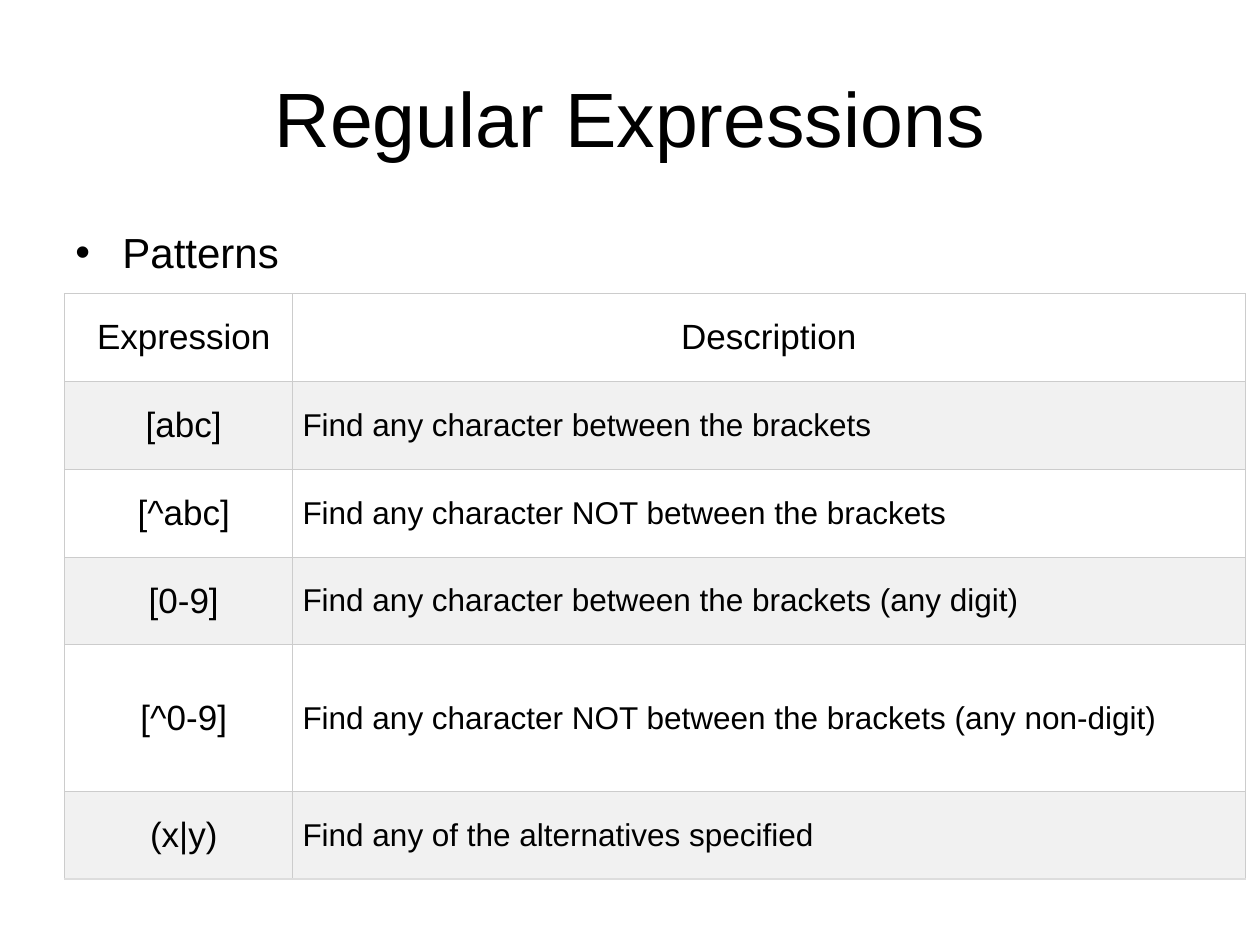
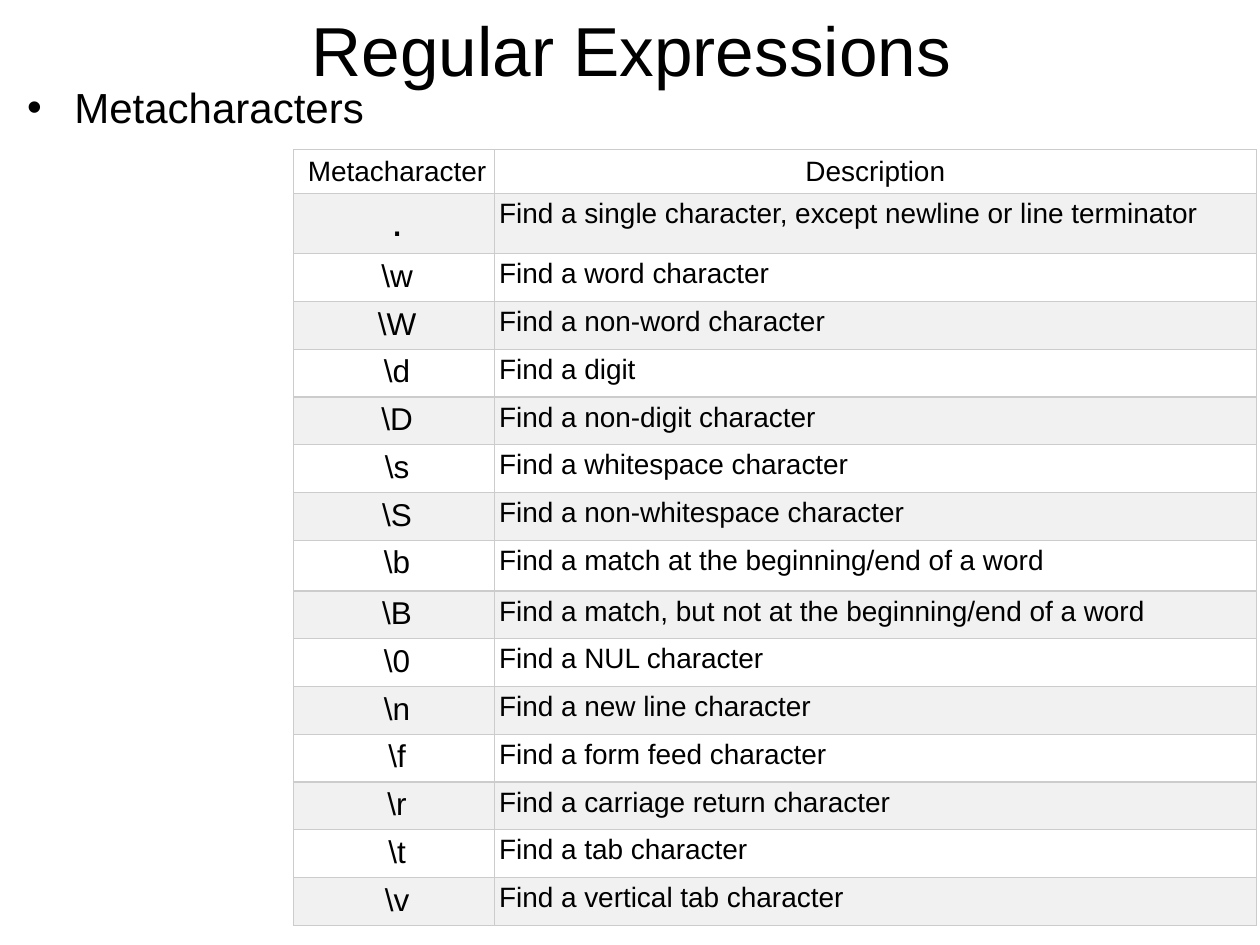
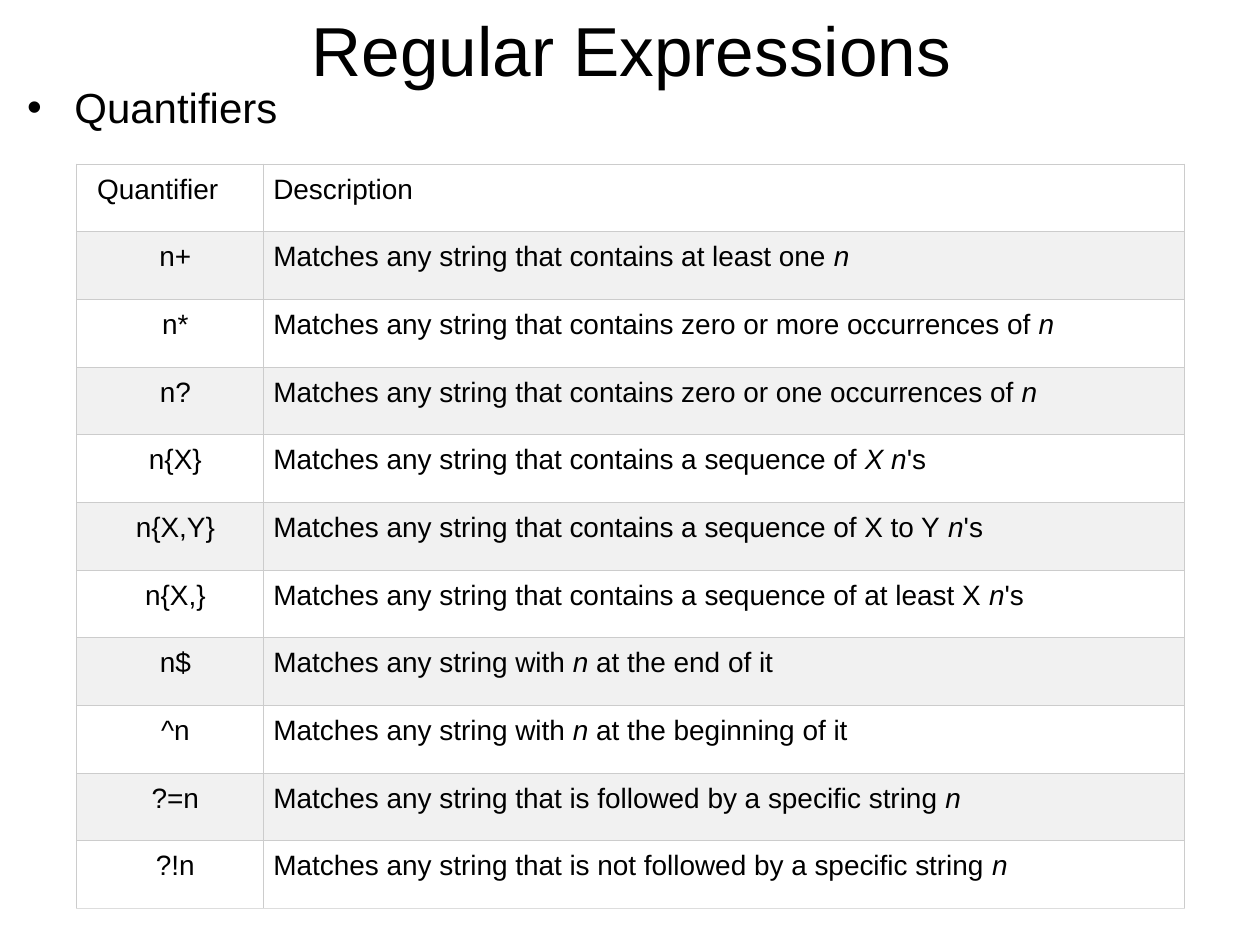
"""Build three slides on regular expressions, each with a reference table."""
from dataclasses import dataclass

from lxml import etree
from pptx import Presentation
from pptx import util as u
from pptx.dml.color import RGBColor
from pptx.enum import text
from pptx.oxml import parse_xml
from pptx.oxml.ns import nsdecls, qn


@dataclass(frozen=True)
class Theme:
    """Colours, font and type sizes shared by the deck."""
    ink: str = "000000"
    paper: str = "FFFFFF"
    band: str = "F1F1F1"
    rule: str = "CCCCCC"
    last_rule: str = "DDDDDD"
    rule_width: float = 0.75
    font: str = "Arial"
    title: float = 44
    small_title: float = 39.6
    topic: float = 24
    indent: float = 0.95


@dataclass(frozen=True)
class TableStyle:
    """Type sizes, insets in centimetres and alignment of one table."""
    head_size: float
    code_size: float
    note_size: float
    inset: float
    code_inset: float
    head_anchor: text.MSO_ANCHOR = text.MSO_ANCHOR.TOP
    body_anchor: text.MSO_ANCHOR = text.MSO_ANCHOR.TOP
    head_align: text.PP_ALIGN = text.PP_ALIGN.CENTER
    end_rule: str = Theme.last_rule


THEME = Theme()
LEFT, CENTER = text.PP_ALIGN.LEFT, text.PP_ALIGN.CENTER
MIDDLE = text.MSO_ANCHOR.MIDDLE

TITLE_BOX = (1.27, 0.76, 22.86, 3.18)
TOPIC_BOX = (1.27, 4.45, 22.86, 12.57)
TOP_TITLE_BOX = (1.3, 0, 22.86, 1.96)
TOP_TOPIC_BOX = (0.3, 1.52, 22.86, 12.57)

PATTERNS = [
    ("Expression", "Description"),
    ("[abc]", "Find any character between the brackets"),
    ("[^abc]", "Find any character NOT between the brackets"),
    ("[0-9]", "Find any character between the brackets (any digit)"),
    ("[^0-9]", "Find any character NOT between the brackets (any non-digit)"),
    ("(x|y)", "Find any of the alternatives specified"),
]

METACHARACTERS = [
    ("Metacharacter", "Description"),
    (".", "Find a single character, except newline or line terminator"),
    ("\\w", "Find a word character"),
    ("\\W", "Find a non-word character"),
    ("\\d", "Find a digit"),
    ("\\D", "Find a non-digit character"),
    ("\\s", "Find a whitespace character"),
    ("\\S", "Find a non-whitespace character"),
    ("\\b", "Find a match at the beginning/end of a word"),
    ("\\B", "Find a match, but not at the beginning/end of a word"),
    ("\\0", "Find a NUL character"),
    ("\\n", "Find a new line character"),
    ("\\f", "Find a form feed character"),
    ("\\r", "Find a carriage return character"),
    ("\\t", "Find a tab character"),
    ("\\v", "Find a vertical tab character"),
]

QUANTIFIERS = [
    ("Quantifier", "Description"),
    ("n+", "Matches any string that contains at least one\u00a0_n_"),
    ("n*", "Matches any string that contains zero or more occurrences of\u00a0_n_"),
    ("n?", "Matches any string that contains zero or one occurrences of\u00a0_n_"),
    ("n{X}", "Matches any string that contains a sequence of\u00a0_X\u00a0n_'s"),
    ("n{X,Y}", "Matches any string that contains a sequence of X to Y\u00a0_n_'s"),
    ("n{X,}", "Matches any string that contains a sequence of at least X\u00a0_n_'s"),
    ("n$", "Matches any string with\u00a0_n_\u00a0at the end of it"),
    ("^n", "Matches any string with\u00a0_n_\u00a0at the beginning of it"),
    ("?=n", "Matches any string that is followed by a specific string\u00a0_n_"),
    ("?!n", "Matches any string that is not followed by a specific string\u00a0_n_"),
]


def write(para, words, size, align):
    """Fill a paragraph run by run; words between underscores are italic."""
    para.alignment = align
    for index, part in enumerate(words.split("_")):
        if part:
            span = para.add_run()
            span.text = part
            span.font.name = THEME.font
            span.font.size = u.Pt(size)
            span.font.color.rgb = RGBColor.from_string(THEME.ink)
            if index % 2:
                span.font.italic = True


def add_text(page, box, words, size, align, anchor=text.MSO_ANCHOR.TOP):
    """Place one wrapped line of text in a box and return its paragraph."""
    frame = page.shapes.add_textbox(*map(u.Cm, box)).text_frame
    frame.word_wrap = True
    frame.vertical_anchor = anchor
    write(frame.paragraphs[0], words, size, align)
    return frame.paragraphs[0]


def add_title(page, box, size):
    """Place the shared title."""
    add_text(page, box, "Regular Expressions", size, CENTER, MIDDLE)


def add_topic(page, box, words, align=LEFT):
    """Place the bulleted topic of a slide."""
    para = add_text(page, box, words, THEME.topic, align)
    props = para._p.get_or_add_pPr()
    props.set("marL", str(u.Cm(THEME.indent)))
    props.set("indent", str(-u.Cm(THEME.indent)))
    space = etree.SubElement(props, qn("a:spcBef"))
    etree.SubElement(space, qn("a:spcPct"), val="20000")
    etree.SubElement(props, qn("a:buFont"), typeface=THEME.font)
    etree.SubElement(props, qn("a:buChar"), char="•")


def paint_cell(cell, fill, bottom):
    """Give a cell its four rules and its fill."""
    props = cell._tc.get_or_add_tcPr()
    for side in "LRTB":
        colour = bottom if side == "B" else THEME.rule
        props.append(parse_xml(
            f'<a:ln{side} {nsdecls("a")} w="{u.Pt(THEME.rule_width)}">'
            f'<a:solidFill><a:srgbClr val="{colour}"/></a:solidFill></a:ln{side}>'))
    cell.fill.solid()
    cell.fill.fore_color.rgb = RGBColor.from_string(fill)


def fill_cell(cell, words, row, column, style, size):
    """Set the insets, anchor and words of a cell."""
    cell.margin_left = u.Cm(style.inset if column else style.code_inset)
    cell.margin_right = cell.margin_top = cell.margin_bottom = u.Cm(style.inset)
    cell.vertical_anchor = style.body_anchor if row else style.head_anchor
    body_align = LEFT if column else CENTER
    write(cell.text_frame.paragraphs[0], words, size,
          body_align if row else style.head_align)


def add_reference(page, box, entries, first_width, heights, style, sizes=None):
    """Place a banded two-column table; sizes overrides the type size by code."""
    frame = page.shapes.add_table(len(entries), 2, *map(u.Cm, box))
    table = frame.table
    table.first_row = table.horz_banding = False
    for column, width in zip(table.columns, (first_width, box[2] - first_width)):
        column.width = u.Cm(width)
    last = len(entries) - 1
    for row, entry in enumerate(entries):
        table.rows[row].height = u.Cm(heights[row])
        for column, words in enumerate(entry):
            cell = table.cell(row, column)
            size = style.note_size if column else style.code_size
            size = (sizes or {}).get(words, size) if row else style.head_size
            paint_cell(cell, THEME.band if row % 2 else THEME.paper,
                       style.end_rule if row == last else THEME.rule)
            fill_cell(cell, words, row, column, style, size)
    frame.height = u.Cm(box[3])


def patterns_slide(page):
    """Compose the slide on patterns."""
    add_title(page, TITLE_BOX, THEME.title)
    add_topic(page, TOPIC_BOX, "Patterns", text.PP_ALIGN.JUSTIFY)
    style = TableStyle(20, 20, 18, 0.2, 0.41, MIDDLE, MIDDLE)
    heights = [2.95 if code == "[^0-9]" else 1.77 for code, _ in PATTERNS]
    add_reference(page, (1.3, 5.92, 23.8, 11.81), PATTERNS, 4.6, heights, style)


def metacharacters_slide(page):
    """Compose the slide on metacharacters."""
    add_title(page, TOP_TITLE_BOX, THEME.small_title)
    add_topic(page, TOP_TOPIC_BOX, "Metacharacters")
    style = TableStyle(16, 18, 16, 0.1, 0.23, MIDDLE, end_rule=THEME.rule)
    heights = [1.02 if code == "\\b" else 0.61 for code, _ in METACHARACTERS]
    add_reference(page, (5.92, 3.02, 19.41, 15.93), METACHARACTERS, 4.04,
                  heights, style, {".": 24})


def quantifiers_slide(page):
    """Compose the slide on quantifiers."""
    add_title(page, TOP_TITLE_BOX, THEME.small_title)
    add_topic(page, TOP_TOPIC_BOX, "Quantifiers")
    style = TableStyle(16, 16, 16, 0.2, 0.41, head_align=LEFT)
    box = (1.55, 3.31, 22.33, 15.01)
    heights = [box[3] / len(QUANTIFIERS)] * len(QUANTIFIERS)
    add_reference(page, box, QUANTIFIERS, 3.76, heights, style)


def main():
    """Build and save the deck."""
    deck = Presentation()
    deck.slide_width, deck.slide_height = u.Cm(25.4), u.Cm(19.05)
    for compose in (patterns_slide, metacharacters_slide, quantifiers_slide):
        page = deck.slides.add_slide(deck.slide_layouts[6])
        page.background.fill.solid()
        page.background.fill.fore_color.rgb = RGBColor.from_string(THEME.paper)
        compose(page)
    deck.save("out.pptx")


main()
